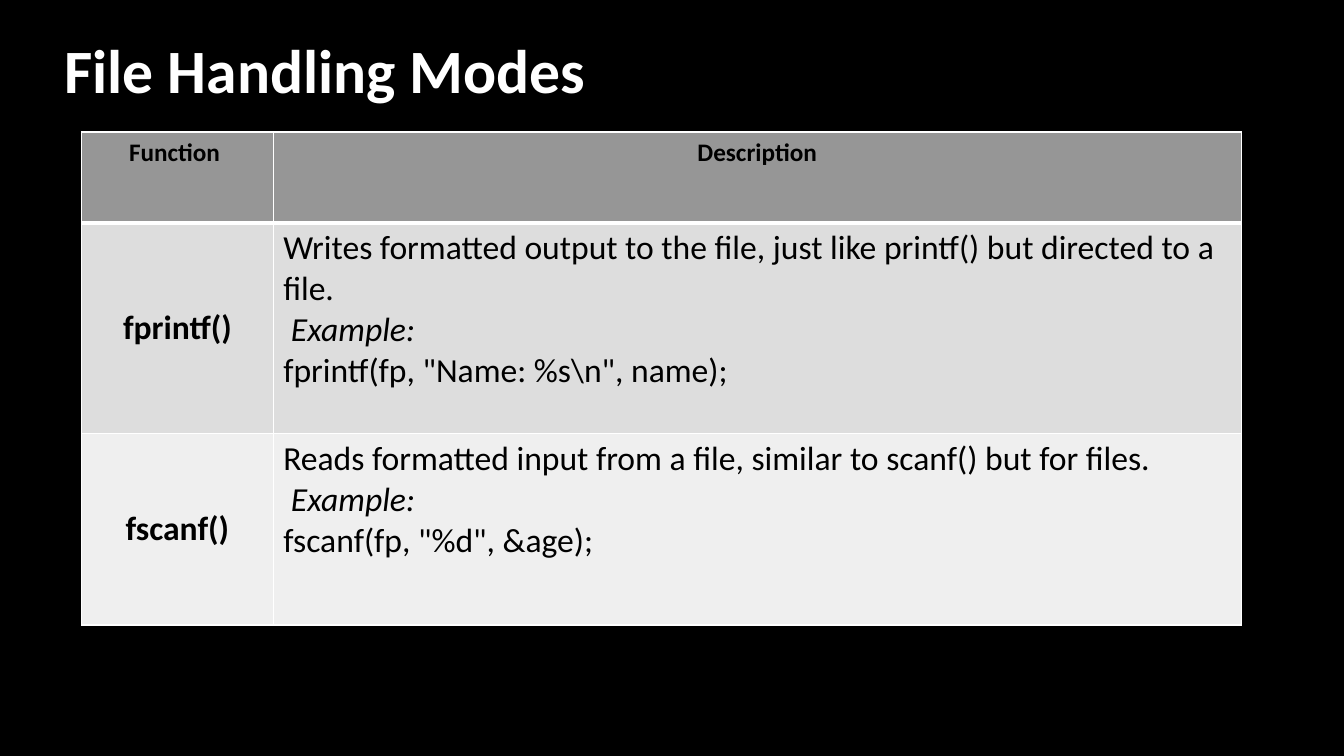
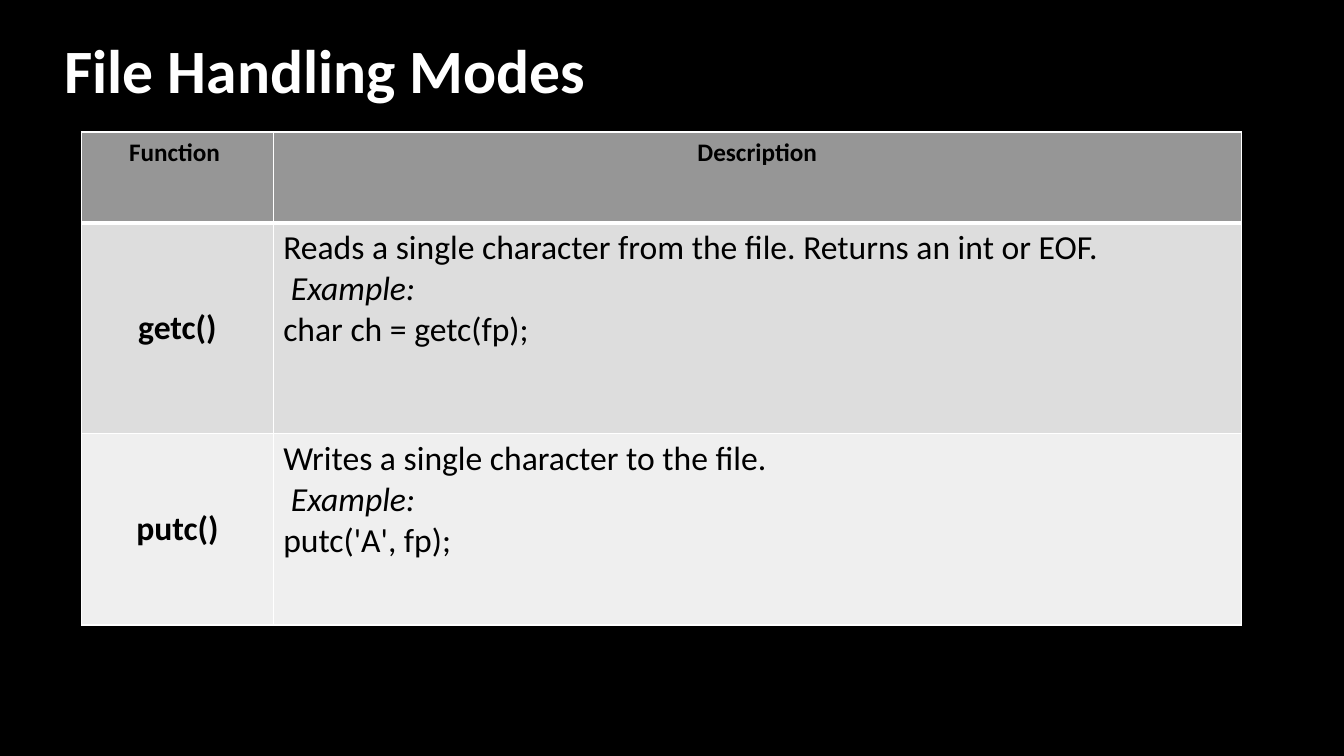
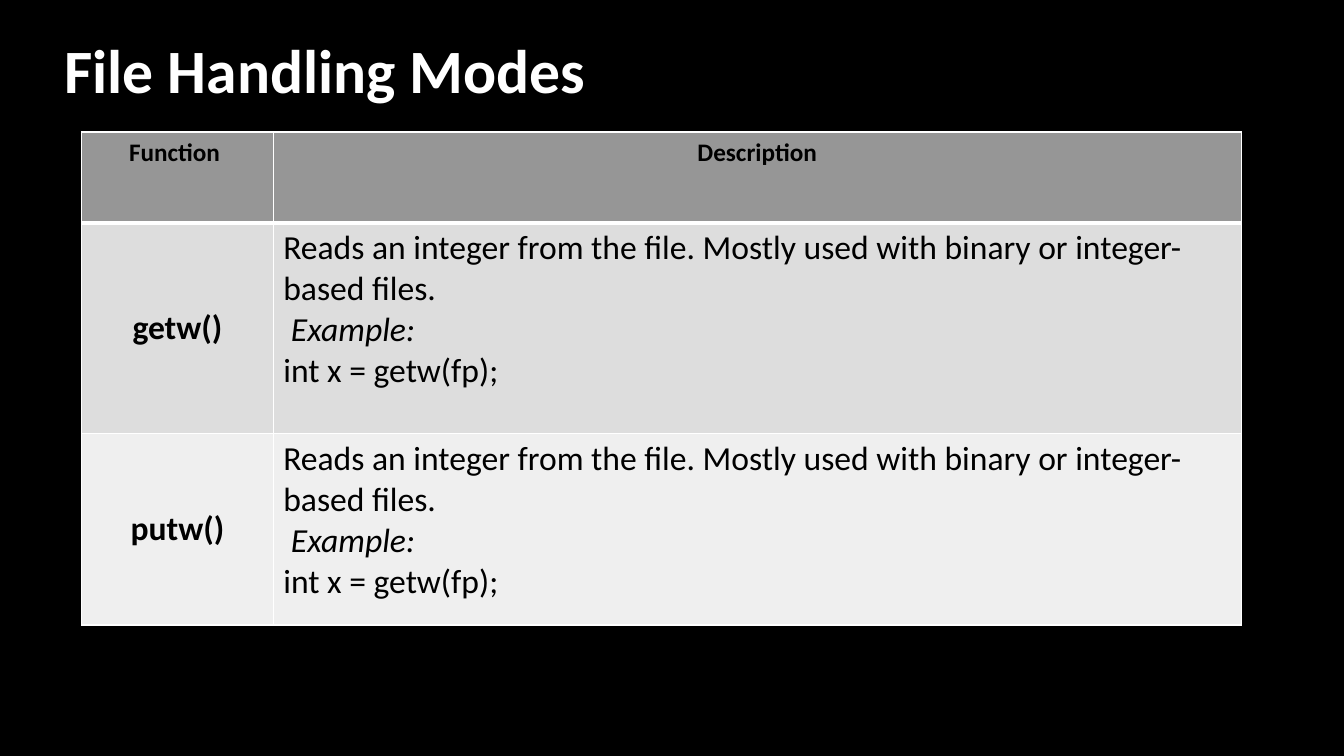
from dataclasses import dataclass

from lxml import etree
from pptx import Presentation
from pptx.dml.color import RGBColor as RGB
from pptx.enum.text import MSO_ANCHOR as Anchor, PP_ALIGN as Align
from pptx.oxml.ns import qn
from pptx.util import Inches, Pt


@dataclass(frozen=True)
class Theme:
    font: str = "Calibri"
    page: str = "000000"
    title: str = "FFFFFF"
    text: str = "000000"
    border: str = "FFFFFF"
    header: str = "969696"
    bands: tuple = ("DDDDDD", "EFEFEF")
    title_size: int = 44
    header_size: int = 18
    body_size: int = 24
    thin: int = 1
    thick: int = 3


THEME = Theme()
TITLE = "File Handling Modes"
TITLE_BOX = (0.54, 0.29, 6.37, 0.88)
TABLE_BOX = (0.81, 1.31, 11.5, 4.89)
HEADINGS = ("Function ", "Description")
NAME_WIDTH = 1.9
ROW_HEIGHTS = (0.9, 2.09, 1.9)

# One list per slide: function, description, example
READ_INTEGER = ("Reads an integer from the file. Mostly used with binary or "
                "integer-based files. ")
PAGES = [
    [("fprintf()",
      "Writes formatted output to the file, just like printf() but directed to a file. ",
      'fprintf(fp, "Name: %s\\n", name);'),
     ("fscanf()",
      "Reads formatted input from a file, similar to scanf() but for files. ",
      'fscanf(fp, "%d", &age);')],
    [("getc()",
      "Reads a single character from the file. Returns an int or EOF. ",
      "char ch = getc(fp);"),
     ("putc()", "Writes a single character to the file. ", "putc('A', fp);")],
    [("getw()", READ_INTEGER, "int x = getw(fp);"),
     ("putw()", READ_INTEGER, "int x = getw(fp);")],
]


def style(para, size, color, bold, align=Align.LEFT):
    para.alignment = align
    font = para.font
    font.name, font.size, font.bold = THEME.font, Pt(size), bold
    font.color.rgb = RGB.from_string(color)


def set_borders(cell, top, bottom):
    """Draw the four cell borders; widths are in points."""
    props = cell._tc.get_or_add_tcPr()
    sides = (("lnL", THEME.thin), ("lnR", THEME.thin), ("lnT", top), ("lnB", bottom))
    for index, (side, width) in enumerate(sides):
        line = etree.Element(qn(f"a:{side}"), w=str(Pt(width)))
        fill = etree.SubElement(line, qn("a:solidFill"))
        etree.SubElement(fill, qn("a:srgbClr"), val=THEME.border)
        props.insert(index, line)


def fill_cell(cell, color, top=THEME.thin, bottom=THEME.thin):
    cell.fill.solid()
    cell.fill.fore_color.rgb = RGB.from_string(color)
    set_borders(cell, top, bottom)


def write_label(cell, text, size, anchor):
    """Bold centred text for headings and function names."""
    cell.vertical_anchor = anchor
    para = cell.text_frame.paragraphs[0]
    para.add_run().text = text
    style(para, size, THEME.text, True, Align.CENTER)


def write_description(cell, description, example):
    para = cell.text_frame.paragraphs[0]
    para.add_run().text = description
    para.add_line_break()
    label = para.add_run()
    label.text = " Example:"
    label.font.italic = True
    para.add_line_break()
    para.add_run().text = example
    style(para, THEME.body_size, THEME.text, False)


def add_title(page, box):
    title = page.shapes.title
    title.left, title.top, title.width, title.height = map(Inches, box)
    frame = title.text_frame
    frame.text = TITLE
    frame.vertical_anchor = Anchor.MIDDLE
    para = frame.paragraphs[0]
    para.line_spacing = 0.9
    style(para, THEME.title_size, THEME.title, True)


def add_function_table(page, box, functions):
    table = page.shapes.add_table(
        len(functions) + 1, len(HEADINGS), *map(Inches, box)).table
    for column, width in zip(table.columns, (NAME_WIDTH, box[2] - NAME_WIDTH)):
        column.width = Inches(width)
    for row, height in zip(table.rows, ROW_HEIGHTS):
        row.height = Inches(height)

    # Header row
    for column, heading in enumerate(HEADINGS):
        cell = table.cell(0, column)
        fill_cell(cell, THEME.header, bottom=THEME.thick)
        write_label(cell, heading, THEME.header_size, Anchor.TOP)

    # Function rows
    for row, (name, description, example) in enumerate(functions, start=1):
        name_cell, text_cell = table.cell(row, 0), table.cell(row, 1)
        for cell in (name_cell, text_cell):
            fill_cell(cell, THEME.bands[(row - 1) % 2],
                      top=THEME.thick if row == 1 else THEME.thin)
        write_label(name_cell, name, THEME.body_size, Anchor.MIDDLE)
        write_description(text_cell, description, example)


def add_function_page(deck, layout, functions):
    page = deck.slides.add_slide(layout)
    add_title(page, TITLE_BOX)
    add_function_table(page, TABLE_BOX, functions)


def main():
    deck = Presentation()
    deck.slide_width, deck.slide_height = Inches(13.33), Inches(7.5)

    # Shared black background
    backdrop = deck.slide_master.background.fill
    backdrop.solid()
    backdrop.fore_color.rgb = RGB.from_string(THEME.page)

    title_only = deck.slide_layouts[5]
    for functions in PAGES:
        add_function_page(deck, title_only, functions)
    deck.save("out.pptx")


if __name__ == "__main__":
    main()
